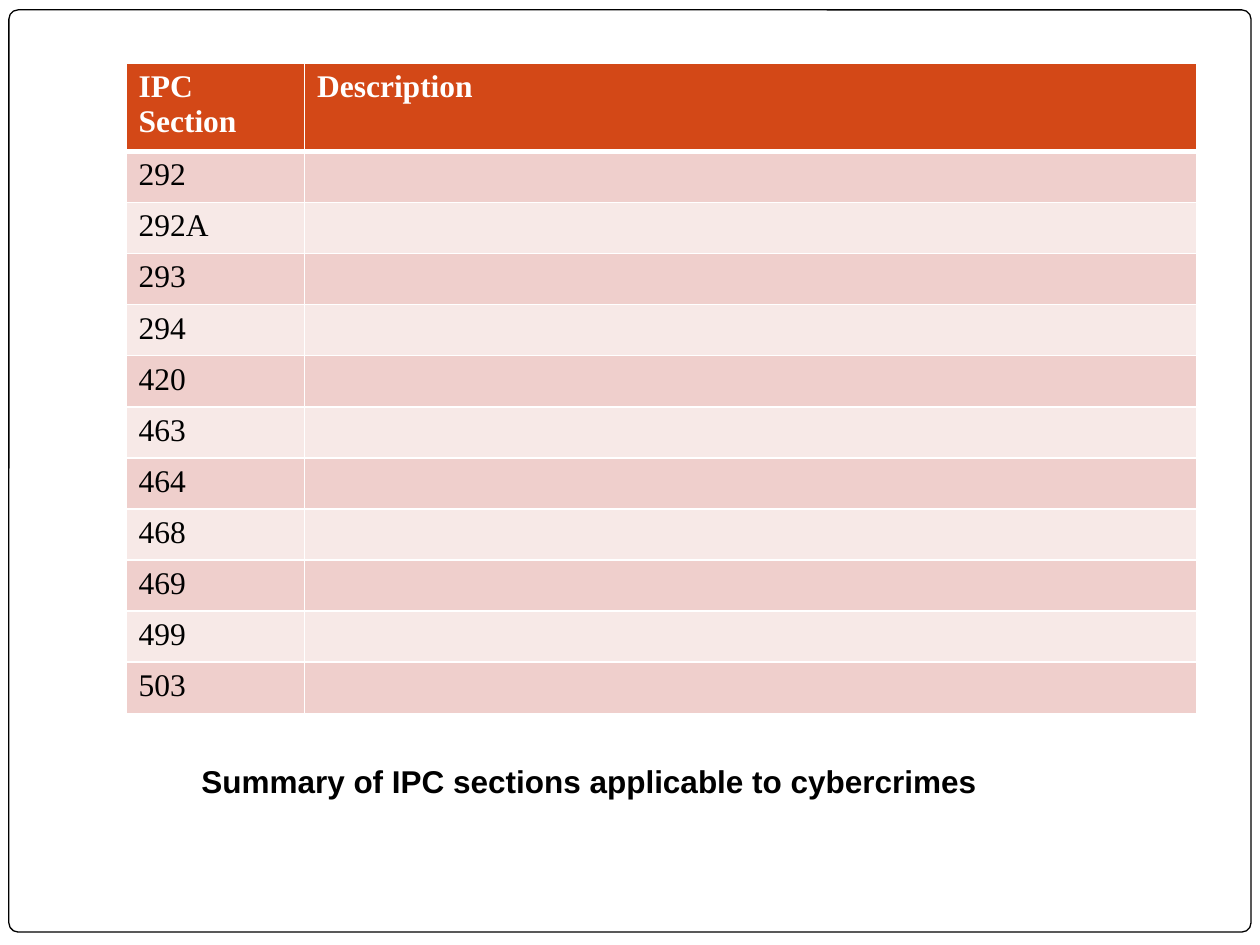
from dataclasses import dataclass

from lxml.etree import SubElement
from pptx import Presentation
from pptx.dml.color import RGBColor
from pptx.enum.shapes import MSO_SHAPE
from pptx.oxml.ns import qn
from pptx.util import Cm, Pt


@dataclass(frozen=True)
class Theme:
    white: str = "FFFFFF"
    black: str = "000000"
    header: str = "D34817"
    bands: tuple = ("EFCFCC", "F7E9E7")
    table_font: str = "Times New Roman"
    caption_font: str = "Arial"
    text_size: int = 18
    thin: int = 1
    thick: int = 3


@dataclass(frozen=True)
class Box:
    """A region of the page, in centimetres."""
    left: float
    top: float
    width: float
    height: float

    def lengths(self):
        return Cm(self.left), Cm(self.top), Cm(self.width), Cm(self.height)


THEME = Theme()
HEADINGS = ("IPC Section", "Description")
SECTIONS = ("292", "292A", "293", "294", "420", "463",
            "464", "468", "469", "499", "503")
SECTION_COLUMN = 3.6
HEADER_ROW = 1.78


def style_text(text_frame, font_name, color, bold):
    for para in text_frame.paragraphs:
        for span in para.runs:
            span.font.name = font_name
            span.font.size = Pt(THEME.text_size)
            span.font.bold = bold
            span.font.color.rgb = RGBColor.from_string(color)


def add_cell_borders(cell, top, bottom):
    """Draw white borders; top and bottom are widths in points."""
    properties = cell._tc.get_or_add_tcPr()
    widths = {"L": THEME.thin, "R": THEME.thin, "T": top, "B": bottom}
    for side, width in widths.items():
        line = SubElement(properties, qn(f"a:ln{side}"), w=str(Pt(width)))
        fill = SubElement(line, qn("a:solidFill"))
        SubElement(fill, qn("a:srgbClr"), val=THEME.white)


def add_frame(page, box):
    frame = page.shapes.add_shape(MSO_SHAPE.ROUNDED_RECTANGLE, *box.lengths())
    frame.adjustments[0] = 0.01
    frame.shadow.inherit = False
    frame.fill.solid()
    frame.fill.fore_color.rgb = RGBColor.from_string(THEME.white)
    frame.line.color.rgb = RGBColor.from_string(THEME.black)
    frame.line.width = Pt(0.75)


def add_section_table(page, box):
    rows = [HEADINGS] + [(section, "") for section in SECTIONS]
    table = page.shapes.add_table(len(rows), len(HEADINGS), *box.lengths()).table
    table.columns[0].width = Cm(SECTION_COLUMN)
    table.columns[1].width = Cm(box.width - SECTION_COLUMN)
    body_row = (box.height - HEADER_ROW) / len(SECTIONS)

    for index, texts in enumerate(rows):
        is_header = index == 0
        table.rows[index].height = Cm(HEADER_ROW if is_header else body_row)
        fill = THEME.header if is_header else THEME.bands[(index - 1) % 2]
        color = THEME.white if is_header else THEME.black
        top = THEME.thick if index == 1 else THEME.thin
        bottom = THEME.thick if is_header else THEME.thin
        for cell, text in zip(table.rows[index].cells, texts):
            add_cell_borders(cell, top, bottom)
            cell.fill.solid()
            cell.fill.fore_color.rgb = RGBColor.from_string(fill)
            if text:
                cell.text_frame.text = text
                style_text(cell.text_frame, THEME.table_font, color, is_header)


def add_caption(page, box, text):
    text_frame = page.shapes.add_textbox(*box.lengths()).text_frame
    text_frame.word_wrap = True
    text_frame.text = text
    style_text(text_frame, THEME.caption_font, THEME.black, True)


def main():
    deck = Presentation()
    deck.slide_width, deck.slide_height = Cm(25.4), Cm(19.05)
    page = deck.slides.add_slide(deck.slide_layouts[6])
    add_frame(page, Box(0.18, 0.2, 25.04, 18.59))
    add_section_table(page, Box(2.54, 1.27, 21.59, 13.11))
    add_caption(page, Box(3.81, 15.24, 18.62, 1.02),
                "Summary of IPC sections applicable to cybercrimes")
    deck.save("out.pptx")


if __name__ == "__main__":
    main()
